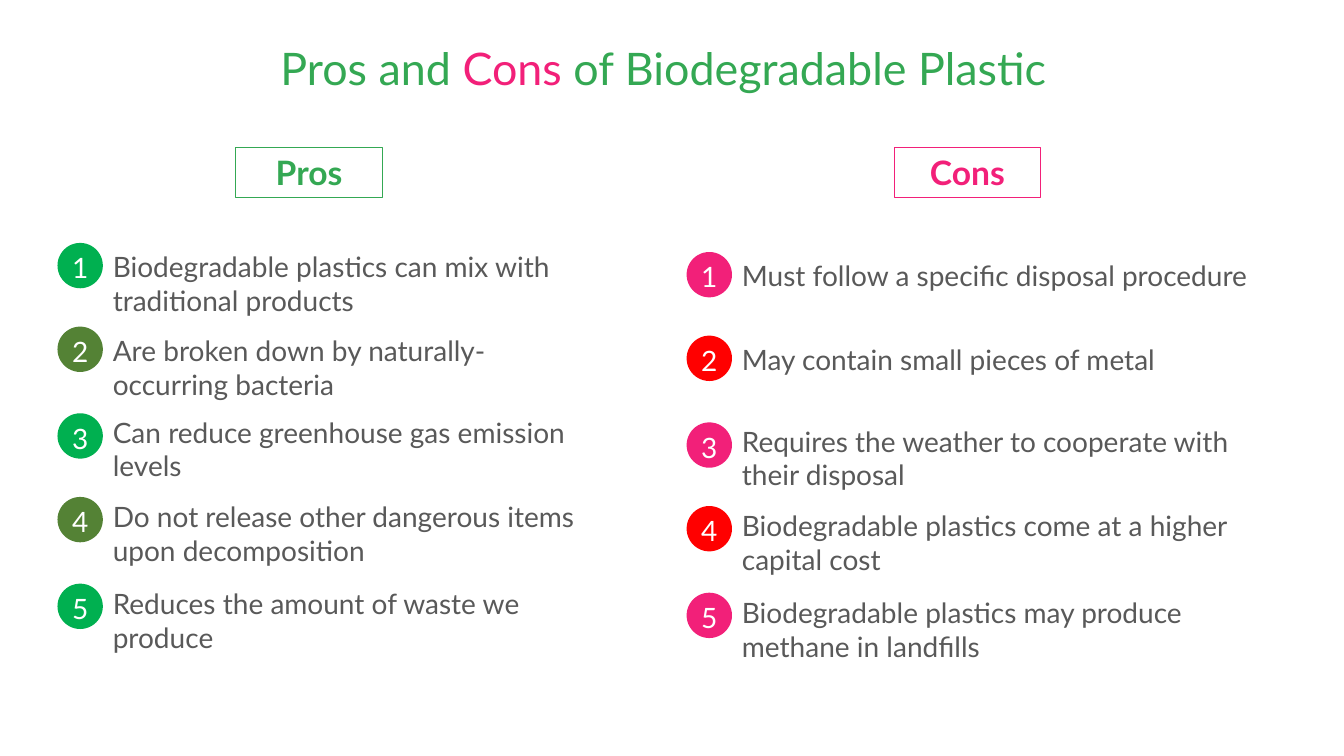
from dataclasses import dataclass

from pptx import Presentation
from pptx.dml.color import RGBColor
from pptx.enum import shapes, text
from pptx.util import Inches, Pt


@dataclass(frozen=True)
class Theme:
    font: str = "Lato"
    green: str = "34A853"
    pink: str = "F22079"
    body: str = "595959"
    white: str = "FFFFFF"
    pro_badges: tuple = ("00B050", "548235")
    con_badges: tuple = ("F22079", "FF0000")
    title_size: int = 32
    heading_size: int = 24
    body_size: int = 20


THEME = Theme()
BADGE = 0.45
ROW_PITCHES = (0.83, 0.86)
TEXT_OFFSETS = (0.02, 0.02, -0.03, -0.02, -0.02)
PROS = (
    "Biodegradable plastics can mix with traditional products",
    "Are broken down by naturally-occurring bacteria",
    "Can reduce greenhouse gas emission levels",
    "Do not release other dangerous items upon decomposition",
    "Reduces the amount of waste we produce",
)
CONS = (
    "Must follow a specific disposal procedure",
    "May contain small pieces of metal",
    "Requires the weather to cooperate with their disposal",
    "Biodegradable plastics come at a higher capital cost",
    "Biodegradable plastics may produce methane in landfills",
)


def format_run(run, size, color, bold=False):
    run.font.name = THEME.font
    run.font.size = Pt(size)
    run.font.bold = bold
    run.font.color.rgb = RGBColor.from_string(color)


def add_label(parent, box, wording, color, centred=False, wrap=True):
    shape = parent.shapes.add_textbox(*map(Inches, box))
    frame = shape.text_frame
    frame.word_wrap = wrap
    frame.text = wording
    paragraph = frame.paragraphs[0]
    paragraph.alignment = text.PP_ALIGN.CENTER if centred else text.PP_ALIGN.LEFT
    format_run(paragraph.runs[0], THEME.body_size, color)


def add_title(slide, box):
    shape = slide.shapes.add_textbox(*map(Inches, box))
    shape.text_frame.word_wrap = False
    paragraph = shape.text_frame.paragraphs[0]
    paragraph.alignment = text.PP_ALIGN.CENTER
    for wording, color in (
        ("Pros and ", THEME.green),
        ("Cons", THEME.pink),
        (" of Biodegradable Plastic", THEME.green),
    ):
        run = paragraph.add_run()
        run.text = wording
        format_run(run, THEME.title_size, color)


def add_heading(slide, box, wording, color):
    shape = slide.shapes.add_shape(shapes.MSO_SHAPE.RECTANGLE, *map(Inches, box))
    shape.shadow.inherit = False
    shape.fill.background()
    shape.line.color.rgb = RGBColor.from_string(color)
    shape.line.width = Pt(0.75)
    shape.text_frame.text = wording
    paragraph = shape.text_frame.paragraphs[0]
    paragraph.alignment = text.PP_ALIGN.CENTER
    format_run(paragraph.runs[0], THEME.heading_size, color, bold=True)


def add_item(slide, left, top, width, number, wording, color, text_offset):
    group = slide.shapes.add_group_shape()
    add_label(group, (left + BADGE, top + text_offset, width - BADGE, 0.77), wording, THEME.body)
    badge = group.shapes.add_shape(
        shapes.MSO_SHAPE.OVAL, *map(Inches, (left, top, BADGE, BADGE))
    )
    badge.shadow.inherit = False
    badge.fill.solid()
    badge.fill.fore_color.rgb = RGBColor.from_string(color)
    badge.line.fill.background()
    number_box = (left + 0.03, top + 0.03, BADGE - 0.06, 0.44)
    add_label(group, number_box, str(number), THEME.white, centred=True, wrap=False)


def add_list(slide, left, top, width, items, badge_colors):
    for index, (wording, text_offset) in enumerate(zip(items, TEXT_OFFSETS)):
        color = badge_colors[index % 2]
        add_item(slide, left, top, width, index + 1, wording, color, text_offset)
        top += ROW_PITCHES[index % 2]


def main():
    presentation = Presentation()
    presentation.slide_width = Inches(13.33)
    presentation.slide_height = Inches(7.5)
    slide = presentation.slides.add_slide(presentation.slide_layouts[6])
    add_title(slide, (2.36, 0.36, 8.44, 0.64))
    add_heading(slide, (2.34, 1.46, 1.45, 0.5), "Pros", THEME.green)
    add_list(slide, 0.57, 2.41, 5.46, PROS, THEME.pro_badges)
    add_list(slide, 6.81, 2.5, 6.03, CONS, THEME.con_badges)
    add_heading(slide, (8.87, 1.46, 1.45, 0.5), "Cons", THEME.pink)
    presentation.save("out.pptx")


if __name__ == "__main__":
    main()
